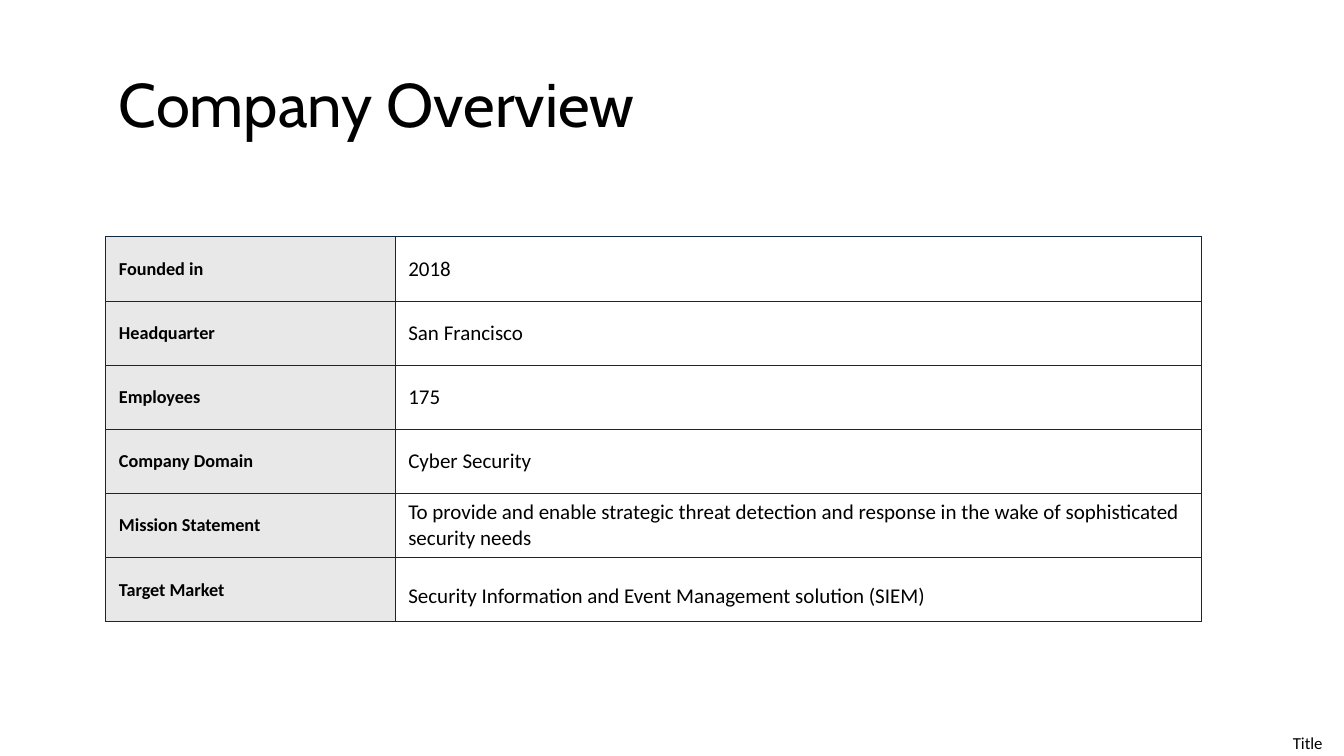
from lxml.etree import SubElement
from pptx import Presentation
from pptx.dml.color import RGBColor
from pptx.enum.text import MSO_ANCHOR, PP_ALIGN
from pptx.oxml.ns import qn
from pptx.util import Inches, Pt

PAD = 0.13
FACTS = [
    ("Founded in", "2018"),
    ("Headquarter", "San Francisco"),
    ("Employees", "175"),
    ("Company Domain", "Cyber Security"),
    ("Mission Statement", "To provide and enable strategic threat detection and "
     "response in the wake of sophisticated security needs"),
    ("Target Market", "Security Information and Event Management solution (SIEM)"),
]


def paint(target, color):
    target.rgb = RGBColor.from_string(color)


def write(frame, text, size, font="Calibri", bold=False, align=PP_ALIGN.LEFT,
          spacing=1.0):
    para = frame.paragraphs[0]
    para.alignment = align
    para.line_spacing = spacing
    run = para.add_run()
    run.text = text
    run.font.name = font
    run.font.size = Pt(size)
    run.font.bold = bold
    paint(run.font.color, "000000")


def place(shape, box):
    shape.left, shape.top, shape.width, shape.height = map(Inches, box)
    frame = shape.text_frame
    frame.word_wrap = True
    frame.margin_left = frame.margin_right = Inches(PAD)
    frame.margin_top = frame.margin_bottom = Inches(PAD)
    return frame


def border(cell, color, width):
    props = cell._tc.get_or_add_tcPr()
    for index, side in enumerate(("lnL", "lnR", "lnT", "lnB")):
        line = props.makeelement(qn(f"a:{side}"), {"w": str(Pt(width))})
        props.insert(index, line)
        fill = SubElement(line, qn("a:solidFill"))
        SubElement(fill, qn("a:srgbClr"), val=color)


def heading(slide, box):
    frame = place(slide.shapes.title, box)
    frame.vertical_anchor = MSO_ANCHOR.MIDDLE
    write(frame, "Company Overview", 44, font="Cabin", spacing=0.9)


def fact_cell(cell, text, fill=None, **style):
    cell.vertical_anchor = MSO_ANCHOR.MIDDLE
    cell.margin_left = cell.margin_right = Inches(PAD)
    cell.margin_top = cell.margin_bottom = 0
    if fill:
        cell.fill.solid()
        paint(cell.fill.fore_color, fill)
    else:
        cell.fill.background()
    border(cell, "0E2841", 0.75)
    write(cell.text_frame, text, **style)


def fact_table(slide, box, label_width):
    table = slide.shapes.add_table(len(FACTS), 2, *map(Inches, box)).table
    table.first_row = table.horz_banding = False
    table.columns[0].width = Inches(label_width)
    table.columns[1].width = Inches(box[2] - label_width)
    for row, (label, value) in enumerate(FACTS):
        last = row == len(FACTS) - 1
        fact_cell(table.cell(row, 0), label, fill="E8E8E8", size=13, bold=True)
        fact_cell(table.cell(row, 1), value, size=15, spacing=1.5 if last else 1.0)


def footer(slide, box):
    frame = place(slide.shapes.add_textbox(0, 0, 0, 0), box)
    write(frame, "Title", 12, align=PP_ALIGN.CENTER)


def main():
    deck = Presentation()
    deck.slide_width, deck.slide_height = Inches(13.33), Inches(7.5)
    slide = deck.slides.add_slide(deck.slide_layouts[5])
    heading(slide, (1.05, 0.65, 11.23, 0.84))
    fact_table(slide, (1.05, 2.35, 10.87, 3.82), label_width=2.87)
    footer(slide, (12.6, 7.17, 0.74, 0.33))
    deck.save("out.pptx")


if __name__ == "__main__":
    main()
